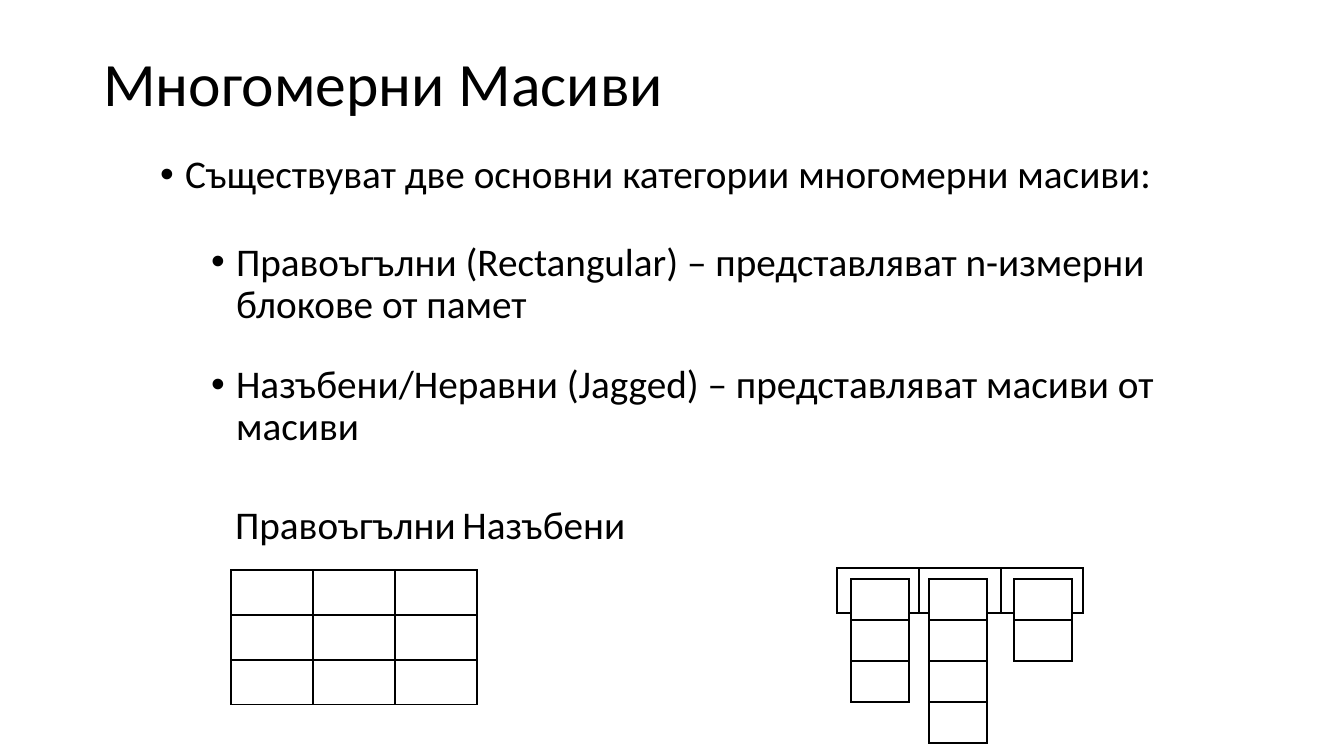
import pptx
import pptx.dml.color
import pptx.enum.text
import pptx.oxml
import pptx.oxml.ns
import pptx.util

PX = 12192000 / 1344
FONT = {"name": "Calibri", "bold": False}
INK, PAPER = "000000", "FFFFFF"
NS = pptx.oxml.ns.nsdecls("a")


def emu(px):
    """Turn px into EMU."""
    return pptx.util.Emu(round(px * PX))


def color(hex_text):
    return pptx.dml.color.RGBColor.from_string(hex_text)


deck = pptx.Presentation()
deck.slide_width, deck.slide_height = emu(1344), emu(756)
page = deck.slides.add_slide(deck.slide_layouts[1])
title, body = page.placeholders

# Title and body placeholders
for box, frame, anchor in (
    (title, (93, 40, 1159, 94), pptx.enum.text.MSO_ANCHOR.MIDDLE),
    (body, (150, 150, 1101, 428), pptx.enum.text.MSO_ANCHOR.TOP),
):
    for name, px in zip(("left", "top", "width", "height"), frame):
        setattr(box, name, emu(px))
    box.text_frame.word_wrap = True
    box.text_frame.auto_size = pptx.enum.text.MSO_AUTO_SIZE.NONE
    box.text_frame.vertical_anchor = anchor

# Text, level, space before, left margin, first-line indent, bullet
title_lines = [("Многомерни Масиви", 0, 0, 0, 0, False)]
body_lines = [
    ("Съществуват две основни категории многомерни масиви:", 0, 0, 25, -25, True),
    ("Правоъгълни (Rectangular) – представляват n-измерни блокове от памет",
     1, 32, 76, -25, True),
    ("Назъбени/Неравни (Jagged) – представляват масиви от масиви",
     1, 27, 76, -25, True),
    ("Правоъгълни\tНазъбени", 1, 40, 0, 75, False),
]
for box, size, lines in ((title, 44, title_lines), (body, 28, body_lines)):
    for index, (text, level, before, margin, indent, bullet) in enumerate(lines):
        para = box.text_frame.paragraphs[0] if index == 0 else box.text_frame.add_paragraph()
        para.text = text
        layout = {
            "level": level,
            "alignment": pptx.enum.text.PP_ALIGN.LEFT,
            "line_spacing": 0.9,
            "space_before": pptx.util.Pt(before),
        }
        for name, value in layout.items():
            setattr(para, name, value)
        properties = para._p.get_or_add_pPr()
        properties.set("marL", str(emu(margin)))
        properties.set("indent", str(emu(indent)))
        if bullet:
            properties.append(pptx.oxml.parse_xml(f'<a:buFont {NS} typeface="Arial"/>'))
            properties.append(pptx.oxml.parse_xml(f'<a:buChar {NS} char="•"/>'))
        else:
            properties.append(pptx.oxml.parse_xml(f"<a:buNone {NS}/>"))
        if "\t" in text:
            properties.append(pptx.oxml.parse_xml(
                f'<a:tabLst {NS}><a:tab pos="{emu(755)}" algn="l"/></a:tabLst>'))
        for name, value in (FONT | {"size": pptx.util.Pt(size)}).items():
            setattr(para.font, name, value)
        para.font.color.rgb = color(INK)

# Array diagrams: left, top, columns, rows, cell width, cell height, fill
arrays = [
    (231, 570, 3, 3, 82, 45, None),
    (837, 568, 3, 1, 82, 45, None),
    (851, 579, 1, 3, 58, 41, PAPER),
    (929, 579, 1, 4, 58, 41, PAPER),
    (1014, 579, 1, 2, 58, 41, PAPER),
]
for left, top, columns, rows, width, height, fill in arrays:
    table = page.shapes.add_table(
        rows, columns, emu(left), emu(top), emu(columns * width), emu(rows * height)).table
    table.first_row = table.horz_banding = False
    for column in table.columns:
        column.width = emu(width)
    for row in table.rows:
        row.height = emu(height)
    for cell in table.iter_cells():
        cell_properties = cell._tc.get_or_add_tcPr()
        for side in ("lnL", "lnR", "lnT", "lnB"):
            cell_properties.append(pptx.oxml.parse_xml(
                f'<a:{side} {NS} w="{pptx.util.Pt(1)}"><a:solidFill>'
                f'<a:srgbClr val="{INK}"/></a:solidFill></a:{side}>'))
        if fill:
            cell.fill.solid()
            cell.fill.fore_color.rgb = color(fill)
        else:
            cell.fill.background()

deck.save("out.pptx")
